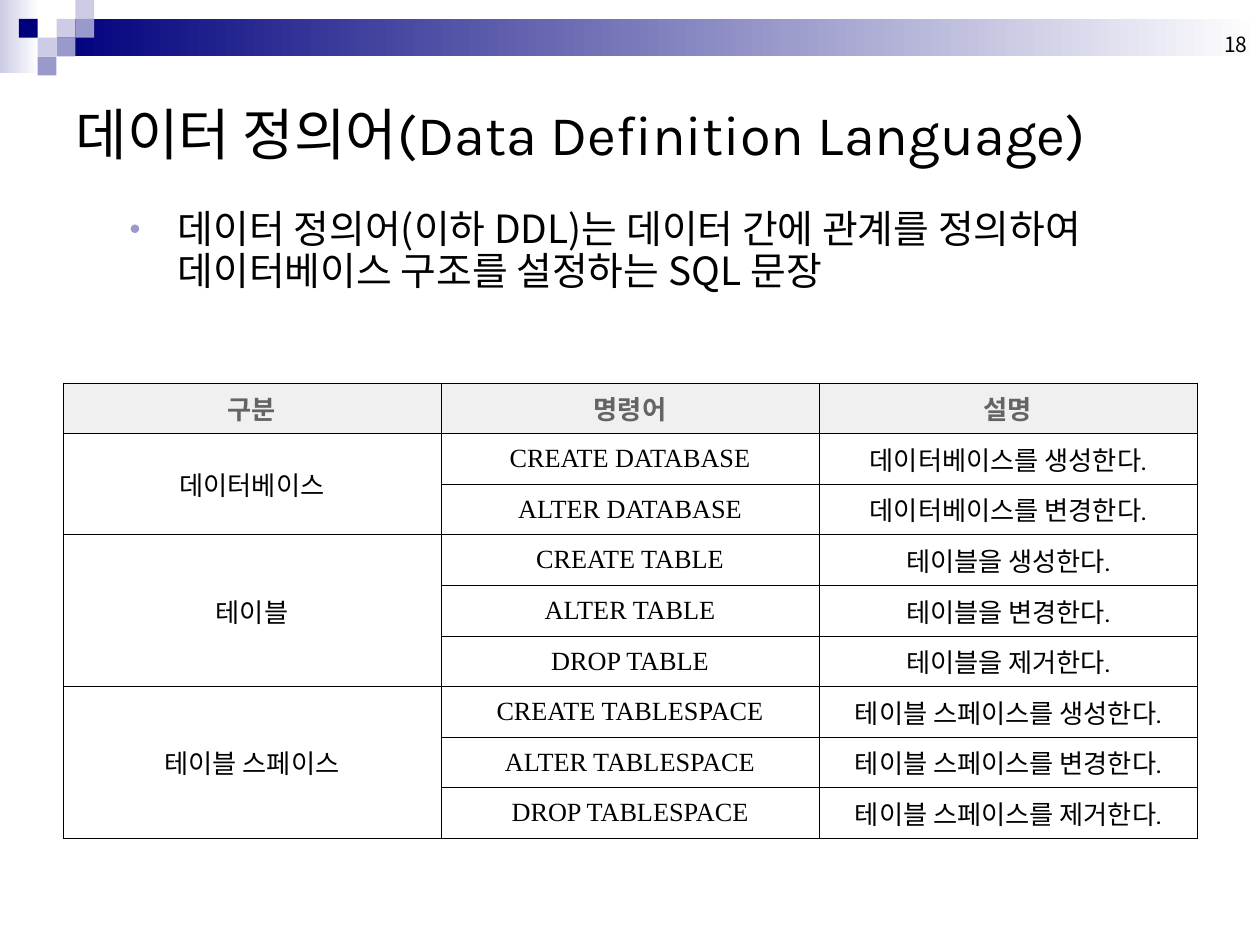
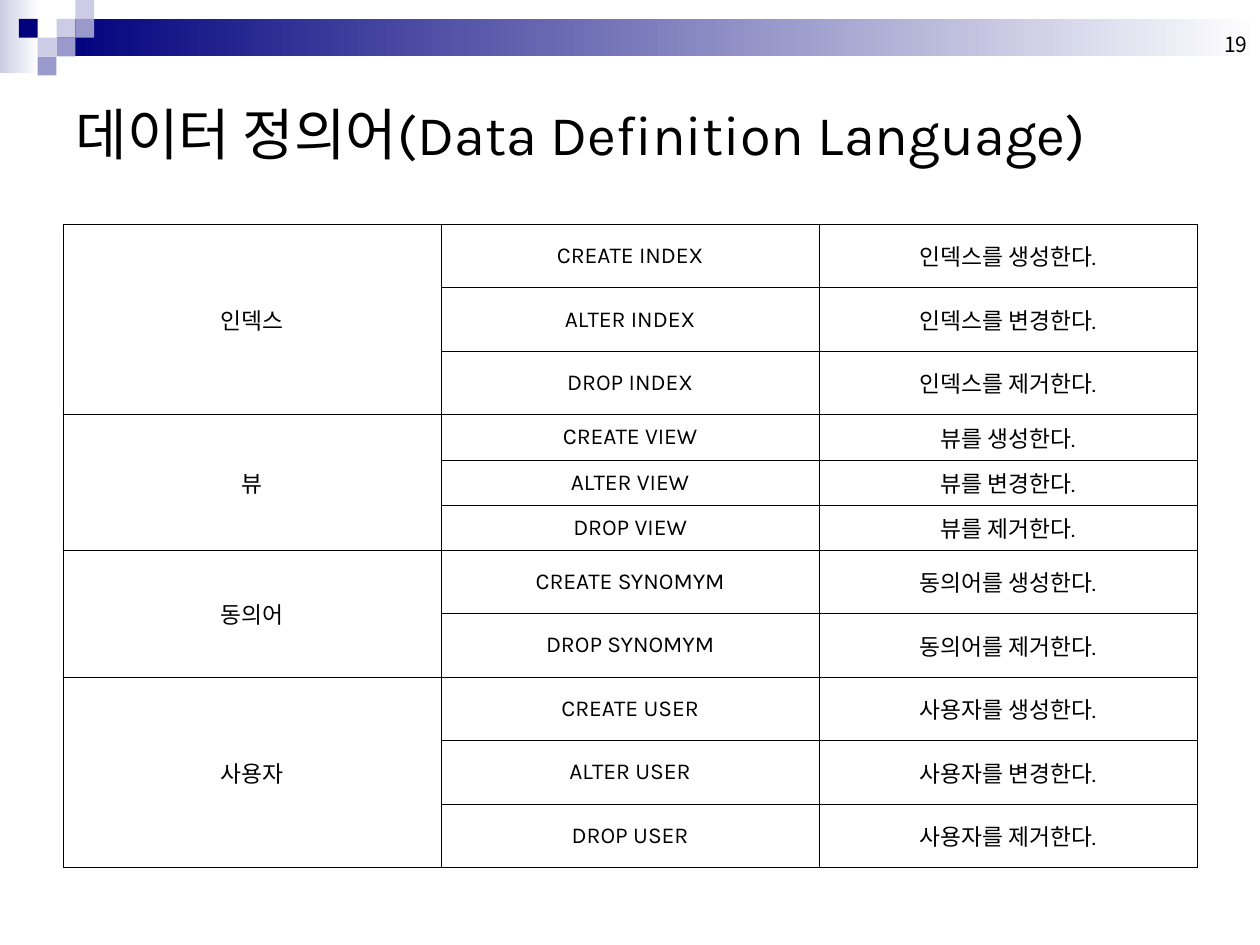
from dataclasses import dataclass

import pptx
import pptx.dml.color
import pptx.enum.shapes
import pptx.enum.text
import pptx.oxml
import pptx.oxml.ns
import pptx.util
from lxml import etree

Cm, Pt = pptx.util.Cm, pptx.util.Pt
ALIGN, ANCHOR = pptx.enum.text.PP_ALIGN, pptx.enum.text.MSO_ANCHOR


@dataclass(frozen=True)
class Theme:
    navy: str = "00007D"
    violet: str = "9999CC"
    lilac: str = "CCCCE6"
    white: str = "FFFFFF"
    black: str = "000000"
    header_fill: str = "F0F0F0"
    header_text: str = "646464"
    main_font: str = "Karla"
    korean_font: str = "Noto Sans CJK KR"
    serif_font: str = "Times New Roman"
    title_size: float = 32
    body_size: float = 22.2
    number_size: float = 12
    border_width: float = 0.34


THEME = Theme()
TITLE = "데이터 정의어(Data Definition Language)"
VERBS = {"CREATE": "생성한다.", "ALTER": "변경한다.", "DROP": "제거한다."}
ALL_VERBS = ("CREATE", "ALTER", "DROP")

# Each group: label, object particle, SQL noun, verbs, row height in cm
SLIDES = [
    {
        "number": 18,
        "bullet": "데이터 정의어(이하 DDL)는 데이터 간에 관계를 정의하여 "
                  "데이터베이스 구조를 설정하는 SQL 문장",
        "header": ("구분", "명령어", "설명"),
        "groups": [
            ("데이터베이스", "를", "DATABASE", ("CREATE", "ALTER"), 1.02),
            ("테이블", "을", "TABLE", ALL_VERBS, 1.02),
            ("테이블 스페이스", "를", "TABLESPACE", ALL_VERBS, 1.02),
        ],
        "table_top": 7.72, "size": 15, "command_font": THEME.serif_font,
    },
    {
        "number": 19,
        "bullet": None,
        "header": None,
        "groups": [
            ("인덱스", "를", "INDEX", ALL_VERBS, 1.28),
            ("뷰", "를", "VIEW", ALL_VERBS, 0.91),
            ("동의어", "를", "SYNOMYM", ("CREATE", "DROP"), 1.28),
            ("사용자", "를", "USER", ALL_VERBS, 1.28),
        ],
        "table_top": 4.52, "size": 13, "command_font": THEME.main_font,
    },
]

SLIDE_WIDTH, SLIDE_HEIGHT = 25.4, 19.05
MARGIN = 1.27
TABLE_WIDTH = SLIDE_WIDTH - 2 * MARGIN
HEADER_HEIGHT = 1.02
TILE = 0.38
# Column and row on the tile grid
TILES = [
    (3, 1, THEME.lilac), (4, 0, THEME.lilac), (4, 1, THEME.violet),
    (2, 2, THEME.lilac), (1, 1, THEME.navy), (3, 2, THEME.violet),
    (2, 3, THEME.violet),
]


def rgb(color):
    return pptx.dml.color.RGBColor.from_string(color)


def place(shape, left, top, width, height):
    shape.left, shape.top = Cm(left), Cm(top)
    shape.width, shape.height = Cm(width), Cm(height)


def write(frame, text, *, size, font=THEME.main_font, color=THEME.black,
          bold=False, align=ALIGN.LEFT):
    """Fill the frame's first paragraph with one formatted span and return it."""
    para = frame.paragraphs[0]
    para.alignment = align
    span = para.add_run()
    span.text = text
    span.font.size, span.font.bold, span.font.name = Pt(size), bold, font
    span.font.color.rgb = rgb(color)
    east_asian = etree.SubElement(span.font._element, pptx.oxml.ns.qn("a:ea"))
    east_asian.set("typeface", THEME.korean_font)
    return para


def add_rectangle(page, left, top, width, height, color, fade_to=None):
    box = page.shapes.add_shape(
        pptx.enum.shapes.MSO_SHAPE.RECTANGLE,
        Cm(left), Cm(top), Cm(width), Cm(height))
    box.shadow.inherit = False
    box.line.fill.background()
    if fade_to:
        box.fill.gradient()
        box.fill.gradient_angle = 0
        for stop, shade in zip(box.fill.gradient_stops, (color, fade_to)):
            stop.color.rgb = rgb(shade)
    else:
        box.fill.solid()
        box.fill.fore_color.rgb = rgb(color)


def add_frame(page, number):
    """Draw the top band, the title and the page number."""
    add_rectangle(page, 0, 0, 0.79, 1.47, THEME.lilac, THEME.white)
    add_rectangle(page, 3 * TILE, TILE, SLIDE_WIDTH - 3 * TILE, 2 * TILE,
                  THEME.navy, THEME.white)
    for column, row, color in TILES:
        add_rectangle(page, column * TILE, row * TILE, TILE, TILE, color)

    title = page.shapes.title
    place(title, MARGIN, MARGIN, TABLE_WIDTH, 2.84)
    title.text_frame.auto_size = pptx.enum.text.MSO_AUTO_SIZE.NONE
    title.text_frame.vertical_anchor = ANCHOR.MIDDLE
    write(title.text_frame, TITLE, size=THEME.title_size)

    box = page.shapes.add_textbox(Cm(19.48), 0, Cm(5.92), Cm(MARGIN))
    box.text_frame.word_wrap = True
    box.text_frame.vertical_anchor = ANCHOR.BOTTOM
    write(box.text_frame, str(number), size=THEME.number_size,
          font=THEME.korean_font, align=ALIGN.RIGHT)


def add_bullet(body, text):
    place(body, MARGIN, 4.11, SLIDE_WIDTH - MARGIN, 2.13)
    body.text_frame.auto_size = pptx.enum.text.MSO_AUTO_SIZE.NONE
    para = write(body.text_frame, text, size=THEME.body_size,
                 font=THEME.korean_font)
    para.level = 1
    para.line_spacing = 0.9
    para.space_before = Pt(0)
    settings = para._p.get_or_add_pPr()
    settings.set("marL", str(Cm(2.06)))
    settings.set("indent", str(Cm(-0.97)))
    namespace = pptx.oxml.ns.nsdecls("a")
    for markup in (
        f'<a:buClr {namespace}><a:srgbClr val="{THEME.violet}"/></a:buClr>',
        f'<a:buSzPct {namespace} val="80000"/>',
        f'<a:buChar {namespace} char="•"/>',
    ):
        settings.append(pptx.oxml.parse_xml(markup))


def add_borders(cell):
    settings = cell._tc.get_or_add_tcPr()
    for index, side in enumerate(("lnL", "lnR", "lnT", "lnB")):
        settings.insert(index, pptx.oxml.parse_xml(
            f'<a:{side} {pptx.oxml.ns.nsdecls("a")} '
            f'w="{Pt(THEME.border_width)}"><a:solidFill>'
            f'<a:srgbClr val="{THEME.black}"/></a:solidFill></a:{side}>'))


def fill_cell(cell, text, **text_format):
    cell.vertical_anchor = ANCHOR.MIDDLE
    cell.margin_left = cell.margin_right = Cm(0.1)
    write(cell.text_frame, text, align=ALIGN.CENTER, **text_format)


def add_command_table(page, content):
    header, groups, size = content["header"], content["groups"], content["size"]
    heights = [HEADER_HEIGHT] if header else []
    for *_, verbs, height in groups:
        heights += [height] * len(verbs)
    table = page.shapes.add_table(
        len(heights), 3, Cm(MARGIN), Cm(content["table_top"]),
        Cm(TABLE_WIDTH), Cm(sum(heights))).table
    table.first_row = table.horz_banding = False
    for row, height in zip(table.rows, heights):
        row.height = Cm(height)
    for cell in table.iter_cells():
        cell.fill.background()
        add_borders(cell)

    row = 0
    if header:
        for column, label in enumerate(header):
            cell = table.cell(0, column)
            cell.fill.solid()
            cell.fill.fore_color.rgb = rgb(THEME.header_fill)
            fill_cell(cell, label, size=size, color=THEME.header_text, bold=True)
        row = 1
    for label, particle, noun, verbs, _ in groups:
        first = table.cell(row, 0)
        first.merge(table.cell(row + len(verbs) - 1, 0))
        fill_cell(first, label, size=size)
        for verb in verbs:
            fill_cell(table.cell(row, 1), f"{verb} {noun}", size=size,
                      font=content["command_font"])
            fill_cell(table.cell(row, 2), f"{label}{particle} {VERBS[verb]}",
                      size=size)
            row += 1


def main():
    deck = pptx.Presentation()
    deck.slide_width, deck.slide_height = Cm(SLIDE_WIDTH), Cm(SLIDE_HEIGHT)
    title_and_body, title_only = deck.slide_layouts[1], deck.slide_layouts[5]
    for content in SLIDES:
        bullet = content["bullet"]
        page = deck.slides.add_slide(title_and_body if bullet else title_only)
        add_frame(page, content["number"])
        if bullet:
            add_bullet(page.placeholders[1], bullet)
        add_command_table(page, content)
    deck.save("out.pptx")


if __name__ == "__main__":
    main()
